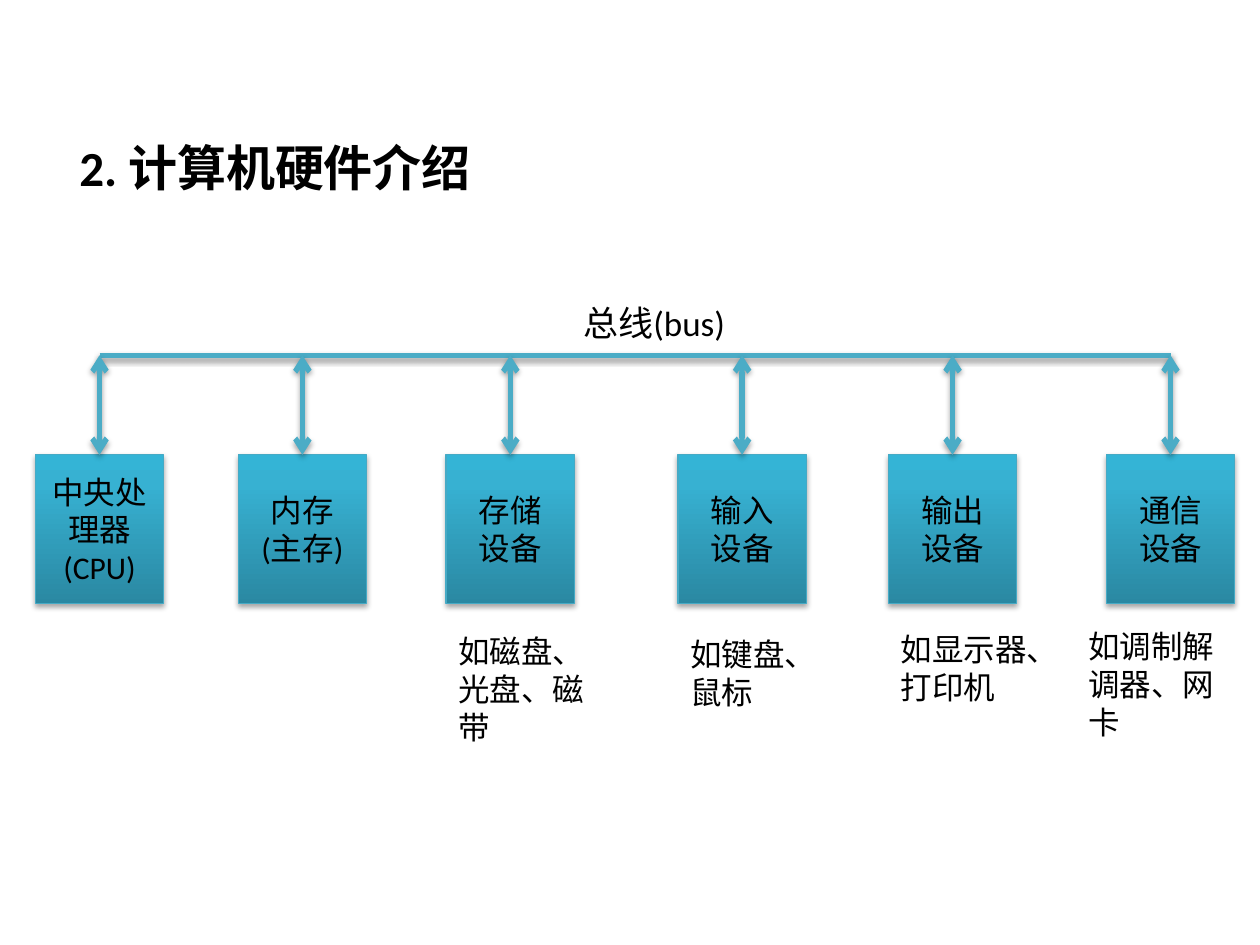
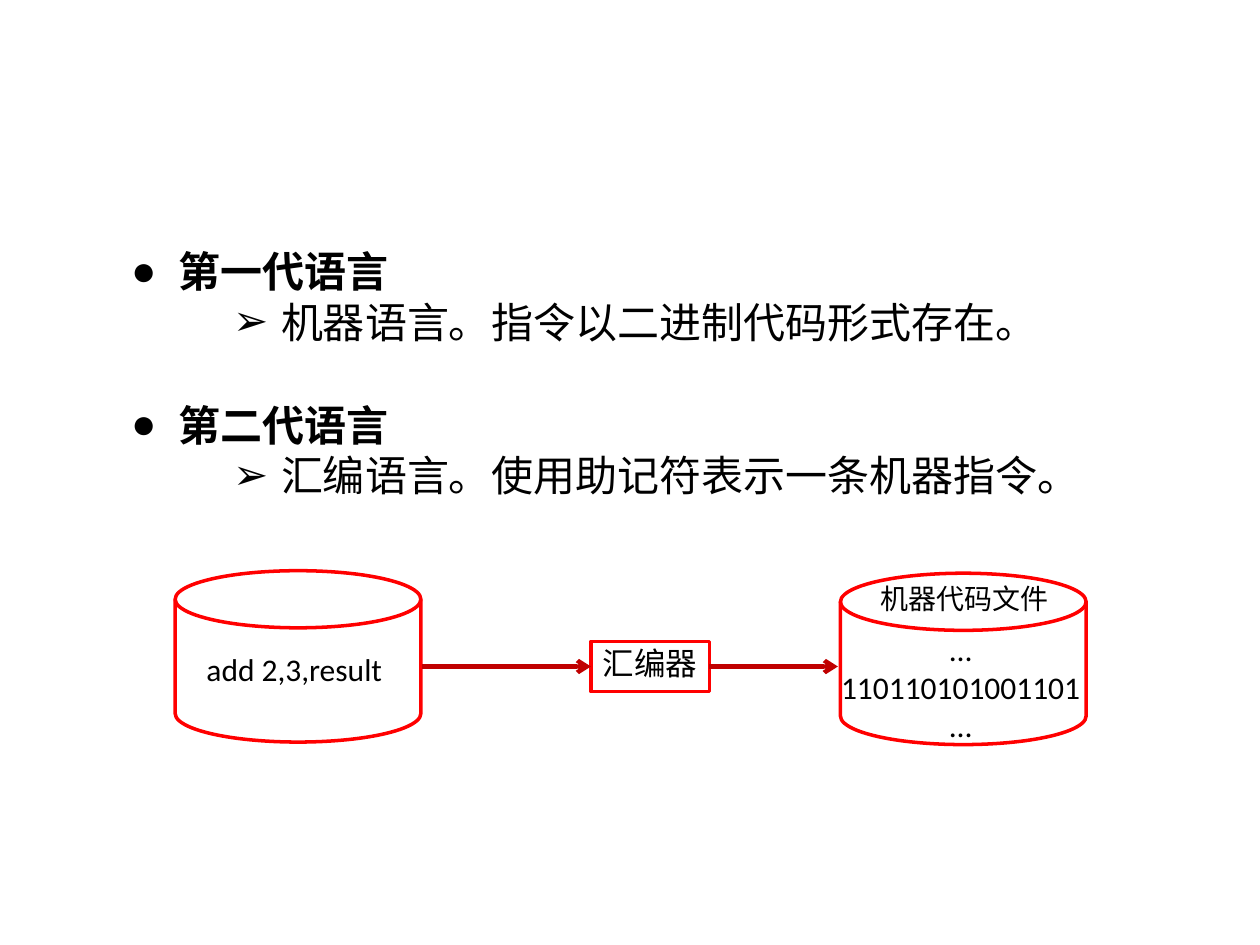
from copy import deepcopy

from lxml import etree
from pptx import Presentation
from pptx import util as u
from pptx.dml.color import RGBColor
from pptx.enum import shapes, text
from pptx.oxml import ns

BLACK = RGBColor(0x00, 0x00, 0x00)
RED = RGBColor(0xFF, 0x00, 0x00)
DARK_RED = RGBColor(0xC0, 0x00, 0x00)
BUS_BLUE = RGBColor(0x4B, 0xAC, 0xC6)
BOX_EDGE = RGBColor(0x46, 0xAA, 0xC5)
BOX_GRADIENT = [
    (0, RGBColor(0x2A, 0x88, 0xA2)),
    (0.8, RGBColor(0x37, 0xB1, 0xD2)),
    (1, RGBColor(0x34, 0xB4, 0xD6)),
]
FONT = "Calibri"
CJK_FONT = "Noto Sans CJK SC"

BUS_TOP = 2.82
BOX_TOP, BOX_WIDTH, BOX_HEIGHT = 3.61, 1.02, 1.18
DEVICES = [
    (0.28, ["中央处理器(CPU)"]),
    (1.89, ["内存(主存)"]),
    (3.54, ["存储", "设备"]),
    (5.38, ["输入", "设备"]),
    (7.05, ["输出", "设备"]),
    (8.78, ["通信", "设备"]),
]
EXAMPLES = [
    (3.54, 4.97, 1.22, 1.01, "如磁盘、光盘、磁带"),
    (5.38, 4.99, 1.02, 0.71, "如键盘、鼠标"),
    (7.05, 4.95, 1.22, 0.71, "如显示器、打印机"),
    (8.54, 4.93, 1.26, 1.01, "如调制解调器、网卡"),
]
GENERATIONS = [
    ("第一代语言", "机器语言。指令以二进制代码形式存在。"),
    ("第二代语言", "汇编语言。使用助记符表示一条机器指令。"),
]


def inches(*lengths):
    return [u.Inches(length) for length in lengths]


def add_element(parent, tag, **attributes):
    return etree.SubElement(parent, ns.qn(tag), attributes)


def style_paragraph(para, size, bold=False, align=text.PP_ALIGN.LEFT, name=FONT):
    para.alignment = align
    font = para.font
    font.name, font.size, font.bold = name, u.Pt(size), bold
    font.color.rgb = BLACK
    defaults = para._p.pPr.find(ns.qn("a:defRPr"))
    add_element(defaults, "a:ea", typeface=name)


def write_lines(frame, lines, size, **style):
    frame.word_wrap = True
    frame.text = "\n".join(lines)
    for para in frame.paragraphs:
        style_paragraph(para, size, **style)


def add_label(slide, left, top, width, height, lines, size=18, **style):
    label = slide.shapes.add_textbox(*inches(left, top, width, height))
    write_lines(label.text_frame, lines, size, **style)


def set_effects(item, shadowed):
    """Give an item a soft shadow below it, or no shadow; call after its line is set."""
    effects = add_element(item._element.spPr, "a:effectLst")
    if shadowed:
        shadow = add_element(effects, "a:outerShdw", blurRad=str(u.Pt(3.1)),
                             dist=str(u.Pt(1.8)), dir="5400000", rotWithShape="0")
        color = add_element(shadow, "a:srgbClr", val="000000")
        add_element(color, "a:alpha", val="35000")


def add_line(slide, start, end, color, width, heads=(), shadowed=False,
             begin_at=None, end_at=None):
    """Draw a line; heads names its arrow ends, begin_at and end_at are (shape, side)."""
    line = slide.shapes.add_connector(shapes.MSO_CONNECTOR.STRAIGHT, *inches(*start, *end))
    if begin_at:
        line.begin_connect(*begin_at)
    if end_at:
        line.end_connect(*end_at)
    line.line.color.rgb = color
    line.line.width = u.Pt(width)
    for head in heads:
        add_element(line.line._get_or_add_ln(), head, type="arrow")
    set_effects(line, shadowed)


def add_device(slide, left, lines):
    box = slide.shapes.add_shape(
        shapes.MSO_SHAPE.RECTANGLE, *inches(left, BOX_TOP, BOX_WIDTH, BOX_HEIGHT))
    box.fill.gradient()
    box.fill.gradient_angle = 90
    stop_list = box._element.spPr.find(".//" + ns.qn("a:gsLst"))
    stop_list.append(deepcopy(stop_list[-1]))
    for stop, (position, color) in zip(box.fill.gradient_stops, BOX_GRADIENT):
        stop.position = position
        stop.color.rgb = color
    box.line.color.rgb = BOX_EDGE
    box.line.width = u.Pt(0.75)
    set_effects(box, shadowed=True)
    box.text_frame.vertical_anchor = text.MSO_ANCHOR.MIDDLE
    write_lines(box.text_frame, lines, 18, align=text.PP_ALIGN.CENTER)
    return box


def add_outline(slide, kind, left, top, width, height):
    outline = slide.shapes.add_shape(kind, *inches(left, top, width, height))
    outline.shadow.inherit = False
    outline.fill.background()
    outline.line.color.rgb = RED
    outline.line.width = u.Pt(2)
    return outline


def place(placeholder, left, top, width, height):
    placeholder.left, placeholder.top, placeholder.width, placeholder.height = inches(
        left, top, width, height)
    placeholder.text_frame.auto_size = text.MSO_AUTO_SIZE.NONE


def add_bullet(para, symbol, margin):
    properties = para._p.get_or_add_pPr()
    properties.set("marL", str(u.Inches(margin)))
    properties.set("indent", str(u.Inches(-0.38)))
    add_element(properties, "a:buFont", typeface="Arial")
    add_element(properties, "a:buChar", char=symbol)


def write_generations(body):
    frame = body.text_frame
    frame.text = "\n".join(line for pair in GENERATIONS for line in pair)
    for index, para in enumerate(frame.paragraphs):
        is_heading = index % 2 == 0
        para.level = 0 if is_heading else 1
        para.space_before = u.Pt(30 if is_heading and index else 0)
        add_bullet(para, *(("●", 0.38) if is_heading else ("➢", 1.19)))
        style_paragraph(para, 24, bold=is_heading)


def build_hardware(deck):
    slide = deck.slides.add_slide(deck.slide_layouts[5])
    title = slide.shapes.title
    place(title, 0.53, 1.04, 5.1, 0.57)
    write_lines(title.text_frame, ["2. 计算机硬件介绍"], 28, bold=True)

    centers = [left + BOX_WIDTH / 2 for left, _ in DEVICES]
    add_line(slide, (centers[0], BUS_TOP), (centers[-1], BUS_TOP), BUS_BLUE, 3,
             shadowed=True)
    for center, (left, lines) in zip(centers, DEVICES):
        box = add_device(slide, left, lines)
        add_line(slide, (center, BUS_TOP), (center, BOX_TOP), BUS_BLUE, 3,
                 heads=("a:headEnd", "a:tailEnd"), shadowed=True, end_at=(box, 0))
    add_label(slide, 4.53, 2.34, 1.36, 0.44, ["总线(bus)"], size=20)
    for left, top, width, height, example in EXAMPLES:
        add_label(slide, left, top, width, height, [example])


def build_languages(deck):
    slide = deck.slides.add_slide(deck.slide_layouts[1])
    title = slide.shapes.title._element
    title.getparent().remove(title)
    body = slide.placeholders[1]
    place(body, 0.94, 1.9, 7.88, 2.54)
    write_generations(body)

    disk = shapes.MSO_SHAPE.FLOWCHART_MAGNETIC_DISK
    add_outline(slide, disk, 1.39, 4.53, 1.95, 1.36)
    add_outline(slide, disk, 6.67, 4.55, 1.95, 1.36)
    assembler = add_outline(slide, shapes.MSO_SHAPE.RECTANGLE, 4.69, 5.09, 0.94, 0.4)
    frame = assembler.text_frame
    frame.margin_left = frame.margin_right = frame.margin_top = 0
    frame.margin_bottom = u.Inches(0.06)
    frame.vertical_anchor = text.MSO_ANCHOR.MIDDLE
    write_lines(frame, ["汇编器"], 18, align=text.PP_ALIGN.CENTER, name=CJK_FONT)

    add_line(slide, (3.35, 5.29), (4.69, 5.29), DARK_RED, 2.5,
             heads=("a:tailEnd",), end_at=(assembler, 1))
    add_line(slide, (5.63, 5.29), (6.65, 5.29), DARK_RED, 2.5,
             heads=("a:tailEnd",), begin_at=(assembler, 3))
    add_label(slide, 1.54, 5.11, 1.97, 0.4, ["add 2,3,result"])
    add_label(slide, 6.89, 4.57, 1.89, 0.37, ["机器代码文件"], size=16)
    add_label(slide, 6.57, 4.95, 2.11, 1.01, ["…", "110110101001101", "…"],
              align=text.PP_ALIGN.CENTER)


def main():
    deck = Presentation()
    deck.slide_width, deck.slide_height = inches(10, 7.5)
    build_hardware(deck)
    build_languages(deck)
    deck.save("out.pptx")


if __name__ == "__main__":
    main()
